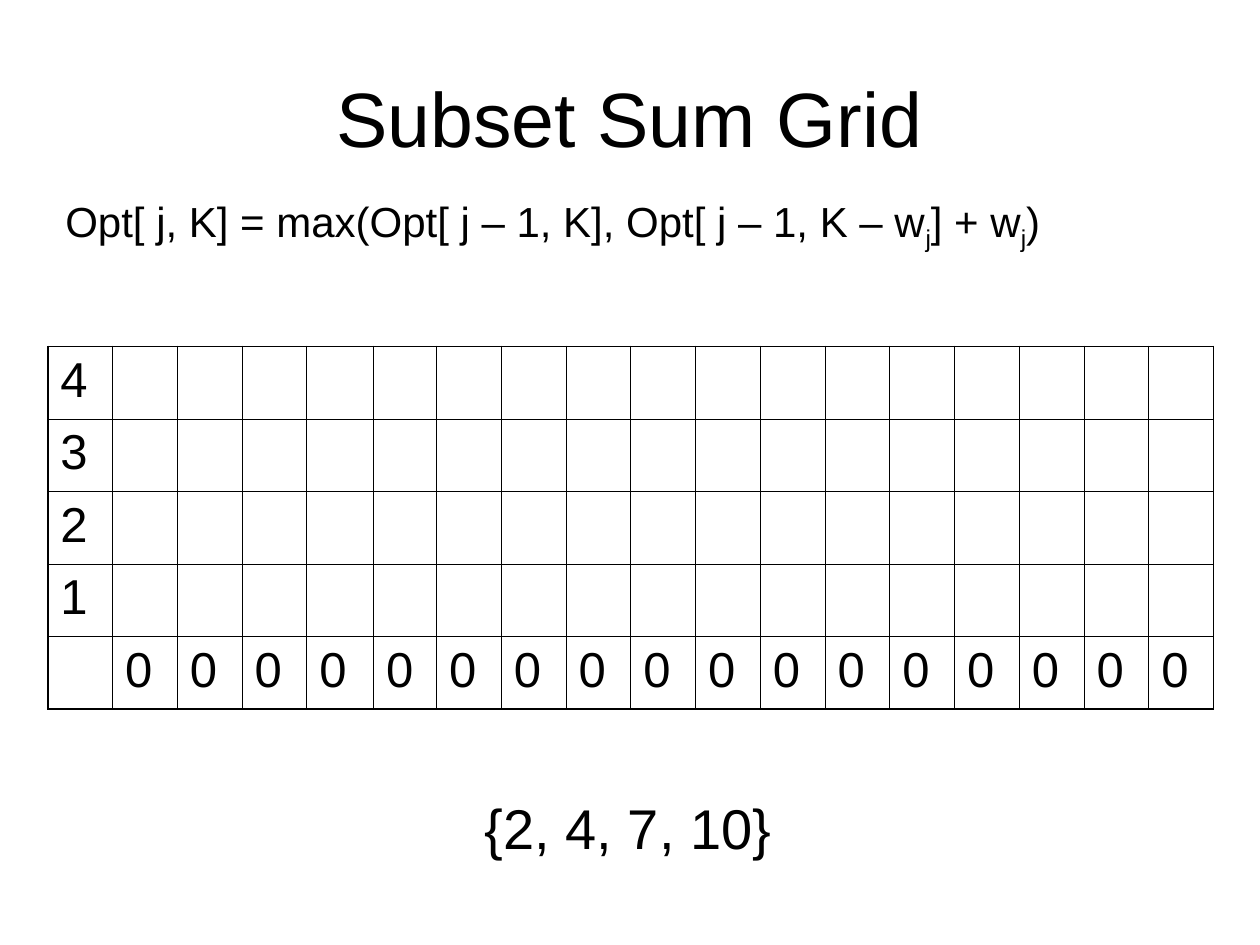
from lxml import etree
from pptx import Presentation
from pptx.dml.color import RGBColor
from pptx.enum.text import MSO_ANCHOR, MSO_AUTO_SIZE, PP_ALIGN
from pptx.oxml.ns import qn
from pptx.util import Inches, Pt

COLORS = {"ink": "000000", "paper": "FFFFFF"}
ROWS, COLS = 5, 18
THIN, THICK = Pt(0.45), Pt(1.08)


def add_run(p, text, size, subscript=False):
    r = p.add_run()
    r.text = text
    for name, value in {"name": "Arial", "size": Pt(size)}.items():
        setattr(r.font, name, value)
    r.font.color.rgb = RGBColor.from_string(COLORS["ink"])
    if subscript:
        r.font._element.set("baseline", "-25000")


def add_border(cell, side, width):
    ln = etree.SubElement(cell._tc.get_or_add_tcPr(), qn(f"a:{side}"), w=str(width))
    fill = etree.SubElement(ln, qn("a:solidFill"))
    etree.SubElement(fill, qn("a:srgbClr"), val=COLORS["ink"])


prs = Presentation()
prs.slide_width, prs.slide_height = Inches(10), Inches(7.5)
s = prs.slides.add_slide(prs.slide_layouts[5])
s.background.fill.solid()
s.background.fill.fore_color.rgb = RGBColor.from_string(COLORS["paper"])

title = s.shapes.title
title_box = {"left": 0.5, "top": 0.3, "width": 9, "height": 1.25}
for name, value in title_box.items():
    setattr(title, name, Inches(value))
title.text_frame.vertical_anchor = MSO_ANCHOR.MIDDLE
p = title.text_frame.paragraphs[0]
p.alignment = PP_ALIGN.CENTER
add_run(p, "Subset Sum Grid", 44)

grid = s.shapes.add_table(
    ROWS, COLS, Inches(0.38), Inches(2.75), Inches(9.25), Inches(2.83)
).table
grid.first_row = grid.horz_banding = False
grid.columns[4].width = Inches(0.53)
grid.columns[5].width = Inches(0.5)

for row in range(ROWS):
    for col in range(COLS):
        cell = grid.cell(row, col)
        outer_edges = {
            "lnL": col == 0,
            "lnR": col == COLS - 1,
            "lnT": row == 0,
            "lnB": row == ROWS - 1,
        }
        for side, outer in outer_edges.items():
            add_border(cell, side, THICK if outer else THIN)
        cell.fill.background()
        p = cell.text_frame.paragraphs[0]
        if (col == 0) != (row == ROWS - 1):
            p.space_before = Pt(7)
            add_run(p, str(ROWS - 1 - row), 28)
        else:
            p.font.size = Pt(28)

text_boxes = [
    ((3.75, 6.25, 4.08, 0.64), 32, 20, [("{2, 4, 7, 10}", False)]),
    ((0.42, 1.5, 8.08, 0.56), 24, 15, [
        ("Opt[ j, K] = max(Opt[ j – 1, K], Opt[ j – 1, K – w", False),
        ("j", True),
        ("] + w", False),
        ("j", True),
        (")", False),
    ]),
]
for box, size, space, runs in text_boxes:
    tf = s.shapes.add_textbox(*map(Inches, box)).text_frame
    tf.word_wrap = True
    tf.auto_size = MSO_AUTO_SIZE.SHAPE_TO_FIT_TEXT
    p = tf.paragraphs[0]
    p.space_before = Pt(space)
    for text, subscript in runs:
        add_run(p, text, size, subscript)

prs.save("out.pptx")
